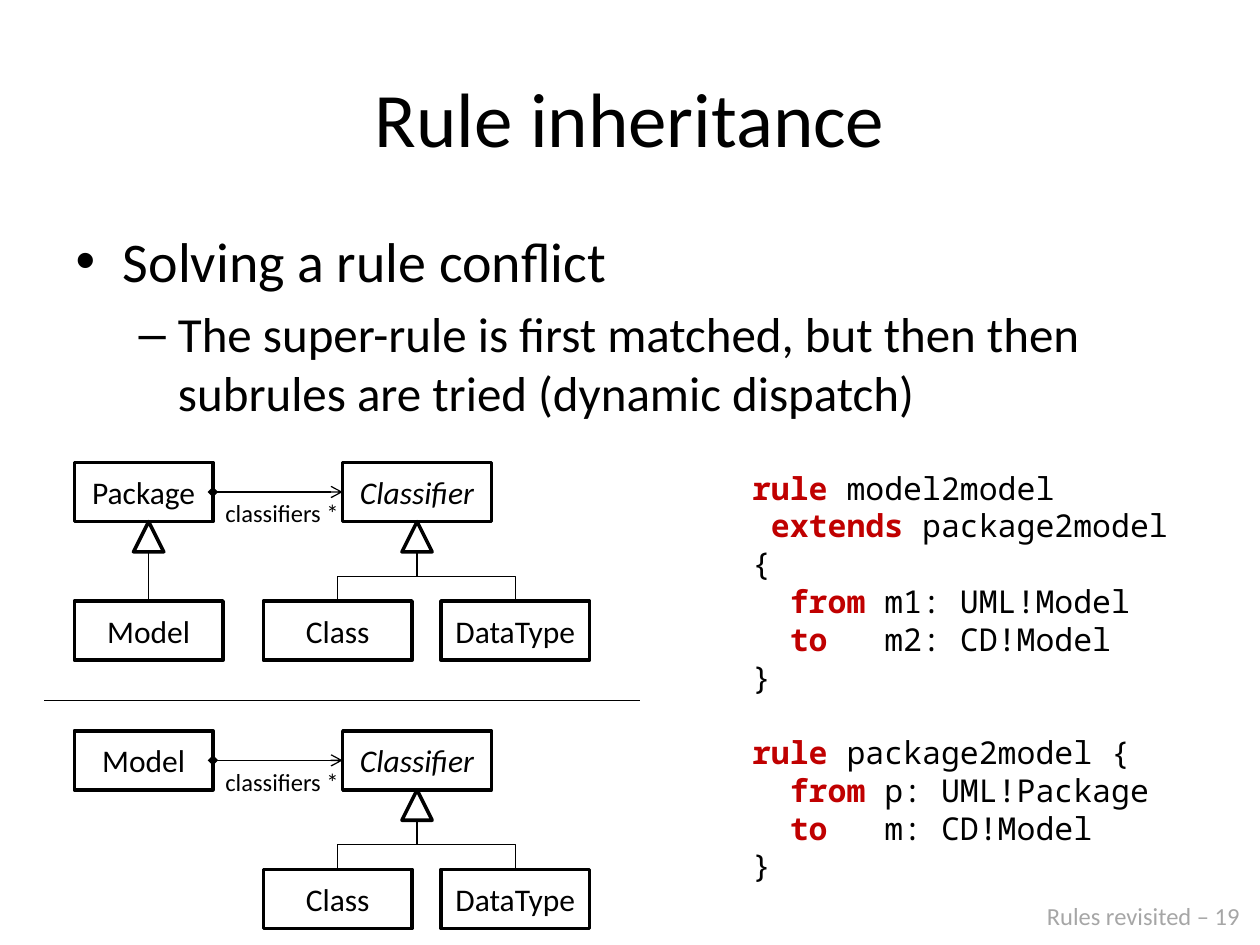
from lxml import etree
from pptx import Presentation
from pptx.dml.color import RGBColor
from pptx.enum.shapes import MSO_CONNECTOR, MSO_SHAPE
from pptx.enum.text import MSO_ANCHOR, PP_ALIGN
from pptx.oxml.ns import qn
from pptx.util import Inches, Pt

STRAIGHT, ELBOW = MSO_CONNECTOR.STRAIGHT, MSO_CONNECTOR.ELBOW
RECTANGLE, TRIANGLE = MSO_SHAPE.RECTANGLE, MSO_SHAPE.ISOSCELES_TRIANGLE
LEFT, CENTER = PP_ALIGN.LEFT, PP_ALIGN.CENTER
TOP, MIDDLE = MSO_ANCHOR.TOP, MSO_ANCHOR.MIDDLE
BLACK = RGBColor(0x00, 0x00, 0x00)
WHITE = RGBColor(0xFF, 0xFF, 0xFF)
GRAY = RGBColor(0xA6, 0xA6, 0xA6)
RED = RGBColor(0xC0, 0x00, 0x00)
SANS, MONO = "Calibri", "Noto Sans Mono"

# Content
TITLE = "Rule inheritance"
BULLETS = [
    (0, 32, "Solving a rule conflict"),
    (1, 28, "The super-rule is first matched, but then then subrules are tried "
            "(dynamic dispatch)"),
]
# Keywords stand between asterisks
RULES = [
    ["*rule* model2model", " *extends* package2model {",
     "  *from* m1: UML!Model", "  *to*   m2: CD!Model", "}"],
    ["*rule* package2model {",
     "  *from* p: UML!Package", "  *to*   m: CD!Model", "}"],
]
# Top of each class diagram, its container class and the container's subclass
DIAGRAMS = [(3.67, "Package", "Model"), (5.8, "Model", None)]
SUBCLASSES = [(2.09, "Class"), (3.5, "DataType")]
FOOTER = "Rules revisited – 19"

# Diagram measures
CONTAINER_LEFT, CONTAINER_WIDTH = 0.59, 1.1
CLASSIFIER_LEFT = 2.72
CLASS_WIDTH, CLASS_HEIGHT = 1.18, 0.47
TRIANGLE_SIZE = 0.24
SUBCLASS_OFFSET = 1.1

deck = Presentation()
deck.slide_width, deck.slide_height = Inches(10), Inches(7.5)
page = deck.slides.add_slide(deck.slide_layouts[1])


def place(shape, left, top, width, height):
    shape.left, shape.top = Inches(left), Inches(top)
    shape.width, shape.height = Inches(width), Inches(height)


def write(para, text, size, font=SANS, color=BLACK, bold=None, italic=None, align=None):
    """Add one formatted span to a paragraph."""
    span = para.add_run()
    span.text = text
    span.font.name, span.font.size = font, Pt(size)
    span.font.bold, span.font.italic = bold, italic
    span.font.color.rgb = color
    if align is not None:
        para.alignment = align


def add_text_box(left, top, width, height, wrap):
    box = page.shapes.add_textbox(Inches(left), Inches(top), Inches(width), Inches(height))
    box.text_frame.word_wrap = wrap
    return box.text_frame


def add_outlined(kind, left, top, width, height):
    shape = page.shapes.add_shape(kind, Inches(left), Inches(top), Inches(width), Inches(height))
    shape.shadow.inherit = False
    shape.fill.solid()
    shape.fill.fore_color.rgb = WHITE
    shape.line.color.rgb = BLACK
    shape.line.width = Pt(2)
    return shape


def add_class(name, left, top, width=CLASS_WIDTH, italic=None):
    box = add_outlined(RECTANGLE, left, top, width, CLASS_HEIGHT)
    frame = box.text_frame
    frame.word_wrap = False
    frame.vertical_anchor = MIDDLE
    write(frame.paragraphs[0], name, 18, italic=italic, align=CENTER)
    return box


def add_line(x1, y1, x2, y2, kind=STRAIGHT, head=None, tail=None):
    line = page.shapes.add_connector(kind, Inches(x1), Inches(y1), Inches(x2), Inches(y2))
    line.line.color.rgb = BLACK
    line.line.width = Pt(0.75)
    properties = line.element.spPr
    outline = properties.find(qn("a:ln"))
    for tag, arrow in (("a:headEnd", head), ("a:tailEnd", tail)):
        if arrow:
            etree.SubElement(outline, qn(tag), type=arrow)
    etree.SubElement(properties, qn("a:effectLst"))
    return line


def add_upward_elbow(x1, y1, x2, y2):
    """Elbow that leaves and arrives vertically: a sideways one turned by 270 degrees."""
    middle_x, middle_y = (x1 + x2) / 2, (y1 + y2) / 2
    half_rise, half_run = (y1 - y2) / 2, (x2 - x1) / 2
    elbow = add_line(middle_x - half_rise, middle_y - half_run,
                     middle_x + half_rise, middle_y + half_run, kind=ELBOW)
    elbow.element.spPr.find(qn("a:xfrm")).set("rot", str(270 * 60000))


def add_triangle(center, top):
    add_outlined(TRIANGLE, center - TRIANGLE_SIZE / 2, top, TRIANGLE_SIZE, TRIANGLE_SIZE)


def add_diagram(top, container_name, container_subclass):
    middle = top + CLASS_HEIGHT / 2
    bottom = top + CLASS_HEIGHT
    tip_base = bottom + TRIANGLE_SIZE
    lower = top + SUBCLASS_OFFSET
    container_right = CONTAINER_LEFT + CONTAINER_WIDTH

    # Container and its classifiers
    label = add_text_box(container_right, middle, 1.11, 0.34, False)
    write(label.paragraphs[0], "classifiers *", 14)
    container = add_class(container_name, CONTAINER_LEFT, top, CONTAINER_WIDTH)
    classifier = add_class("Classifier", CLASSIFIER_LEFT, top, italic=True)
    association = add_line(container_right, middle, CLASSIFIER_LEFT, middle,
                           head="diamond", tail="arrow")
    association.begin_connect(container, 3)
    association.end_connect(classifier, 1)

    # Subclasses of the classifier
    center = CLASSIFIER_LEFT + CLASS_WIDTH / 2
    for left, name in SUBCLASSES:
        add_class(name, left, lower)
        add_upward_elbow(left + CLASS_WIDTH / 2, lower, center, tip_base)
    add_triangle(center, bottom)

    # Subclass of the container
    if container_subclass:
        center = CONTAINER_LEFT + CLASS_WIDTH / 2
        add_triangle(center, bottom)
        subclass = add_class(container_subclass, CONTAINER_LEFT, lower)
        add_line(center, lower, center, tip_base).begin_connect(subclass, 0)


# Title and bullets
title = page.shapes.title
place(title, 0.5, 0.3, 9, 1.25)
title.text_frame.vertical_anchor = MIDDLE
write(title.text_frame.paragraphs[0], TITLE, 44, align=CENTER)

body = page.placeholders[1]
place(body, 0.5, 1.75, 9, 4.95)
body.text_frame.vertical_anchor = TOP
for index, (level, size, text) in enumerate(BULLETS):
    para = body.text_frame.add_paragraph() if index else body.text_frame.paragraphs[0]
    para.level = level
    write(para, text, size, align=LEFT)

# Class diagrams and the line between them
for diagram in DIAGRAMS:
    add_diagram(*diagram)
add_line(0.35, 5.56, 5.08, 5.56)

# Transformation rules
code = add_text_box(5.87, 3.67, 3.78, 3.43, True)
para = code.paragraphs[0]
for rule_index, rule in enumerate(RULES):
    for line_index, text in enumerate(rule):
        if rule_index or line_index:
            para = code.add_paragraph()
        if rule_index and not line_index:
            para.space_before = Pt(21.5)
        for part_index, part in enumerate(text.split("*")):
            keyword = part_index % 2 == 1
            if part:
                write(para, part, 18, font=MONO, color=RED if keyword else BLACK, bold=keyword)

# Footer
footer = add_text_box(8.21, 7.1, 1.75, 0.34, False)
write(footer.paragraphs[0], FOOTER, 14, color=GRAY)

deck.save("out.pptx")
